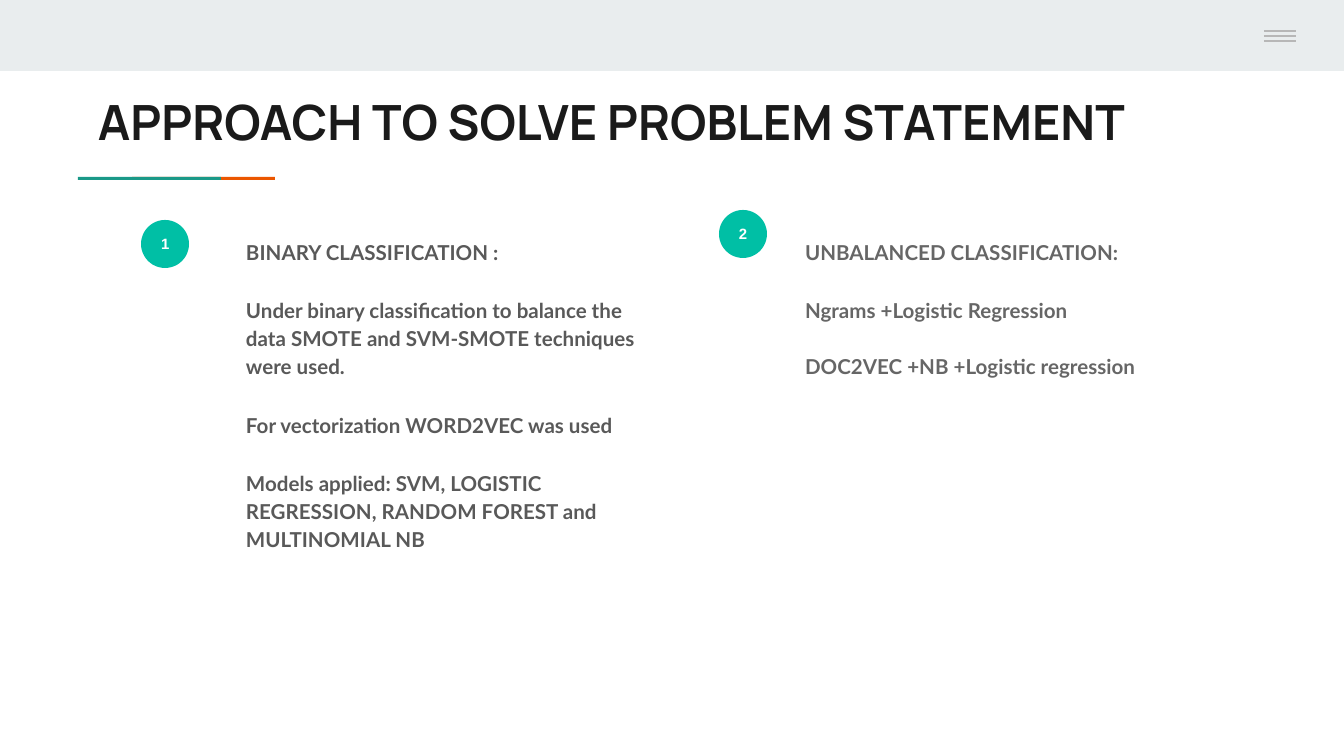
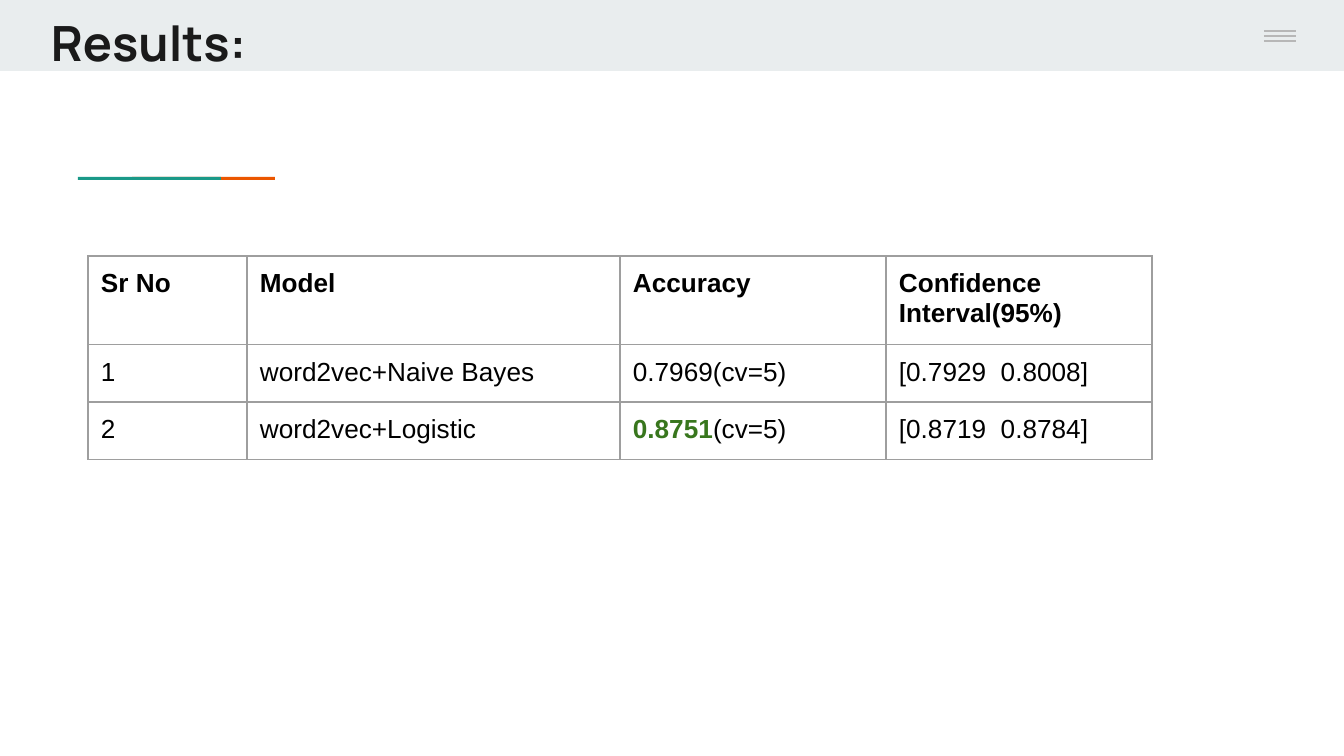
from collections.abc import Sequence
from dataclasses import dataclass
from typing import NamedTuple

from lxml.etree import SubElement
from pptx import Presentation
from pptx.dml.color import RGBColor as RGB
from pptx.enum.shapes import MSO_CONNECTOR as CONN, MSO_SHAPE as SHAPE
from pptx.enum.text import MSO_ANCHOR as ANCHOR, PP_ALIGN as ALIGN
from pptx.oxml.ns import qn
from pptx.util import Emu, Pt

EMU_PER_PX = 914400 / 134.4


@dataclass(frozen=True)
class Theme:
    band: str = "E9EDEE"
    menu: str = "B7B7B7"
    teal: str = "1A9988"
    orange: str = "EB5600"
    badge: str = "00BFA5"
    white: str = "FFFFFF"
    black: str = "000000"
    title: str = "1A1A1A"
    body_dark: str = "595959"
    body_light: str = "666666"
    best: str = "38761D"
    border: str = "9E9E9E"
    title_font: str = "Manrope"
    body_font: str = "Lato"
    plain_font: str = "Arial"
    title_pt: int = 26
    table_pt: int = 14
    body_pt: int = 11
    badge_pt: int = 8
    hairline_pt: float = 0.75


T = Theme()


class Box(NamedTuple):
    x: int
    y: int
    w: int
    h: int


class Span(NamedTuple):
    text: str
    color: str | None = None
    bold: bool = False


class Para(NamedTuple):
    spans: tuple[Span, ...]
    before: int = 0


class Topic(NamedTuple):
    number: str
    badge: Box
    body: Box
    color: str
    paras: tuple[Para, ...]


def px(n: int) -> Emu:
    return Emu(round(n * EMU_PER_PX))


def place(box: Box) -> tuple[Emu, ...]:
    return tuple(px(n) for n in box)


def bold(text: str, before: int = 0) -> Para:
    return Para((Span(text, bold=True),), before)


def plain(text: str) -> Para:
    return Para((Span(text),))


def write(tf, paras: Sequence[Para], *, font: str, size: int, color: str,
          align=ALIGN.LEFT, spacing: float = 1.0) -> None:
    tf.word_wrap = True
    tf.margin_left = tf.margin_right = tf.margin_top = tf.margin_bottom = px(13)
    for i, para in enumerate(paras):
        p = tf.paragraphs[0] if i == 0 else tf.add_paragraph()
        p.alignment, p.line_spacing = align, spacing
        p.space_before = Pt(para.before)
        for span in para.spans:
            r = p.add_run()
            r.text = span.text
            r.font.name, r.font.size, r.font.bold = font, Pt(size), span.bold
            r.font.color.rgb = RGB.from_string(span.color or color)


def add_block(s, box: Box, color: str, kind=SHAPE.RECTANGLE):
    sp = s.shapes.add_shape(kind, *place(box))
    sp.shadow.inherit = False
    sp.fill.solid()
    sp.fill.fore_color.rgb = RGB.from_string(color)
    sp.line.fill.background()
    return sp


def add_rule(s, x1: int, x2: int, y: int) -> None:
    line = s.shapes.add_connector(CONN.STRAIGHT, px(x1), px(y), px(x2), px(y))
    line.line.color.rgb = RGB.from_string(T.menu)
    line.line.width = Pt(T.hairline_pt)
    SubElement(line._element.spPr, qn("a:effectLst"))


def add_text(s, box: Box, paras: Sequence[Para], **style) -> None:
    write(s.shapes.add_textbox(*place(box)).text_frame, paras, **style)


def add_base(prs, title: str, title_box: Box):
    s = prs.slides.add_slide(prs.slide_layouts[6])
    add_block(s, Box(0, 0, 1344, 71), T.band)
    for x, color in ((132, T.orange), (78, T.teal)):
        add_block(s, Box(x, 177, 143, 3), color)
    for y in range(31, 42, 5):
        add_rule(s, 1264, 1296, y)
    add_text(s, title_box, [bold(title)],
             font=T.title_font, size=T.title_pt, color=T.title)
    return s


def add_topic(s, topic: Topic) -> None:
    sp = add_block(s, topic.badge, T.badge, SHAPE.OVAL)
    sp.text_frame.vertical_anchor = ANCHOR.MIDDLE
    write(sp.text_frame, [bold(topic.number)], font=T.plain_font,
          size=T.badge_pt, color=T.white, align=ALIGN.CENTER)
    add_text(s, topic.body, topic.paras, font=T.body_font, size=T.body_pt,
             color=topic.color, spacing=1.15)


def add_borders(cell) -> None:
    tc_pr = cell._tc.get_or_add_tcPr()
    for side in ("lnL", "lnR", "lnT", "lnB"):
        ln = SubElement(tc_pr, qn(f"a:{side}"), w=str(Pt(T.hairline_pt)))
        fill = SubElement(ln, qn("a:solidFill"))
        SubElement(fill, qn("a:srgbClr"), val=T.border)


def add_grid(s, x: int, y: int, widths: Sequence[int], heights: Sequence[int],
             rows: Sequence[Sequence[Para]]) -> None:
    box = Box(x, y, sum(widths), sum(heights))
    table = s.shapes.add_table(len(rows), len(widths), *place(box)).table
    table.first_row = table.horz_banding = False
    for column, w in zip(table.columns, widths):
        column.width = px(w)
    for row, h, paras in zip(table.rows, heights, rows):
        row.height = px(h)
        for cell, para in zip(row.cells, paras):
            add_borders(cell)
            cell.fill.background()
            cell.margin_left = cell.margin_right = px(13)
            cell.margin_top = cell.margin_bottom = px(13)
            write(cell.text_frame, [para], font=T.plain_font,
                  size=T.table_pt, color=T.black)


TOPICS = (
    Topic("1", Box(141, 220, 48, 48), Box(233, 223, 417, 466), T.body_dark, (
        bold("BINARY CLASSIFICATION :"),
        bold("Under binary classification to balance the data SMOTE and "
             "SVM-SMOTE techniques were used.", 16),
        bold("For vectorization WORD2VEC was used", 16),
        bold("Models applied: SVM, LOGISTIC REGRESSION, RANDOM FOREST and "
             "MULTINOMIAL NB", 16),
    )),
    Topic("2", Box(719, 210, 48, 48), Box(792, 223, 417, 305), T.body_light, (
        bold("UNBALANCED CLASSIFICATION:"),
        bold("Ngrams +Logistic Regression", 16),
        bold("DOC2VEC +NB +Logistic regression", 15),
    )),
)

RESULTS = (
    [bold(h) for h in ("Sr No", "Model", "Accuracy", "Confidence Interval(95%)")],
    [plain(v) for v in ("1", "word2vec+Naive Bayes", "0.7969(cv=5)",
                        "[0.7929  0.8008]")],
    [plain("2"), plain("word2vec+Logistic"),
     Para((Span("0.8751", T.best, True), Span("(cv=5)"))),
     plain("[0.8719  0.8784]")],
)


def main() -> None:
    """Build the approach and results slides."""
    prs = Presentation()
    prs.slide_width, prs.slide_height = px(1344), px(756)

    s = add_base(prs, "APPROACH TO SOLVE PROBLEM STATEMENT", Box(85, 79, 1130, 79))
    for topic in TOPICS:
        add_topic(s, topic)

    s = add_base(prs, "Results:", Box(38, 0, 485, 203))
    add_grid(s, 88, 256, (159, 373, 266, 266), (86, 56, 56), RESULTS)

    prs.save("out.pptx")


if __name__ == "__main__":
    main()
